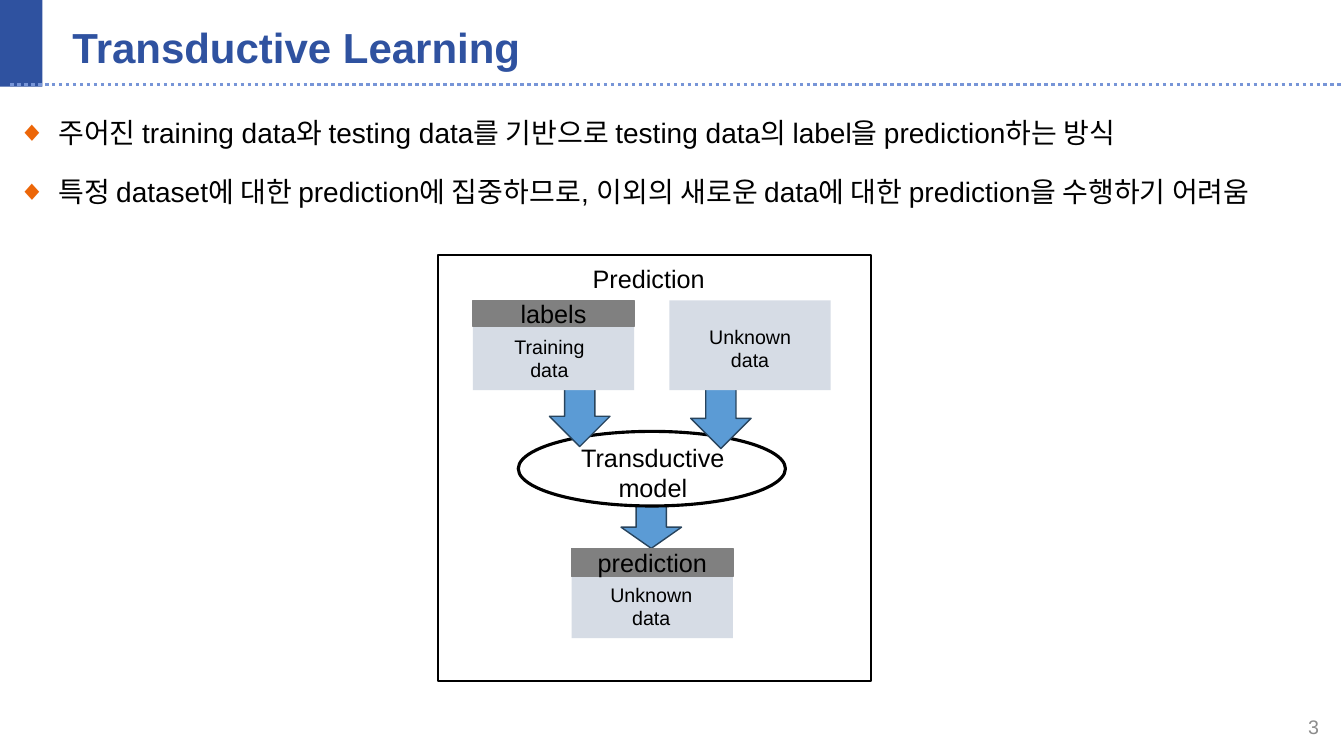
"""Build the Transductive Learning slide."""
import pptx
import pptx.dml.color
import pptx.enum.dml
import pptx.enum.shapes
import pptx.enum.text
import pptx.oxml.ns
import pptx.util
from lxml import etree

PX = 9144
SHAPE = pptx.enum.shapes.MSO_SHAPE
ALIGN = pptx.enum.text.PP_ALIGN
ANCHOR = pptx.enum.text.MSO_ANCHOR
qn = pptx.oxml.ns.qn


def rgb(value):
    return pptx.dml.color.RGBColor.from_string(value)


def add(at, kind=None, fill=None, line=None, weight=1, text="", size=18,
        color="000000", bold=False, align=ALIGN.CENTER, anchor=ANCHOR.TOP):
    box = [v * PX for v in at]
    if kind is None:
        sp = s.shapes.add_textbox(*box)
    else:
        sp = s.shapes.add_shape(kind, *box)
        sp.shadow.inherit = False
        if fill:
            sp.fill.solid()
            sp.fill.fore_color.rgb = rgb(fill)
        else:
            sp.fill.background()
        if line:
            sp.line.color.rgb = rgb(line)
            sp.line.width = pptx.util.Pt(weight)
        else:
            sp.line.fill.background()
    if text:
        tf = sp.text_frame
        tf.word_wrap = True
        tf.vertical_anchor = anchor
        tf.text = text
        for p in tf.paragraphs:
            p.alignment = align
            for r in p.runs:
                r.font.name = "Arial"
                r.font.size = pptx.util.Pt(size)
                r.font.bold = bold
                r.font.color.rgb = rgb(color)
    return sp


prs = pptx.Presentation()
prs.slide_width, prs.slide_height = 1333 * PX, 750 * PX
s = prs.slides.add_slide(prs.slide_layouts[6])

add((0, 0, 42, 86), SHAPE.RECTANGLE, "2F52A0")
rule = s.shapes.add_connector(pptx.enum.shapes.MSO_CONNECTOR.STRAIGHT,
                              10 * PX, 84 * PX, 1333 * PX, 84 * PX)
rule.line.color.rgb = rgb("7795D7")
rule.line.width = pptx.util.Pt(2.5)
rule.line.dash_style = pptx.enum.dml.MSO_LINE.ROUND_DOT
etree.SubElement(rule._element.spPr, qn("a:effectLst"))

add((62, 20, 1150, 53), text="Transductive Learning", size=30, color="2F52A0",
    bold=True, align=ALIGN.LEFT, anchor=ANCHOR.MIDDLE)

body = add((8, 110, 1354, 561), size=20, align=ALIGN.LEFT, text=(
    "주어진 training data와 testing data를 기반으로 testing data의 label을 prediction하는 방식\n"
    "특정 dataset에 대한 prediction에 집중하므로, 이외의 새로운 data에 대한 prediction을 수행하기 어려움"))
for p in body.text_frame.paragraphs:
    p.space_before = pptx.util.Pt(18)
    pPr = p._p.get_or_add_pPr()
    pPr.set("marL", str(40 * PX))
    pPr.set("indent", str(-40 * PX))
    color = etree.SubElement(pPr, qn("a:buClr"))
    etree.SubElement(color, qn("a:srgbClr"), val="EC6608")
    etree.SubElement(pPr, qn("a:buFont"), typeface="Arial")
    etree.SubElement(pPr, qn("a:buChar"), char="◆")

add((1018, 701, 300, 40), text="3", size=14, color="8C8C8C",
    align=ALIGN.RIGHT, anchor=ANCHOR.MIDDLE)

arrow = dict(kind=SHAPE.DOWN_ARROW, fill="5B9BD5", line="28445D")
add((616, 502, 60, 42), **arrow)
add((514, 428, 265, 74), SHAPE.OVAL, line="000000", weight=2.25)
add((685, 373, 60, 72), **arrow)
add((545, 371, 60, 72), **arrow)

for left, top, caption, caption_left, caption_top in (
        (664, 298, "Unknown\ndata", 679, 317),
        (469, 298, "Training\ndata", 480, 327),
        (567, 544, "Unknown\ndata", 581, 573)):
    add((left, top, 160, 89), SHAPE.RECTANGLE, "D6DCE5")
    add((caption_left, caption_top, 130, 57), text=caption, size=14)

for left, top, height, label in ((469, 298, 26, "labels"),
                                 (567, 544, 28, "prediction")):
    add((left, top, 160, height), SHAPE.RECTANGLE, "808080", "808080",
        text=label, anchor=ANCHOR.MIDDLE)

add((542, 434, 211, 71), text="Transductive\vmodel")
add((434, 253, 430, 423), SHAPE.RECTANGLE, line="000000", weight=1.5)
add((578, 256, 230, 40), text="Prediction", align=ALIGN.LEFT)

prs.save("out.pptx")
